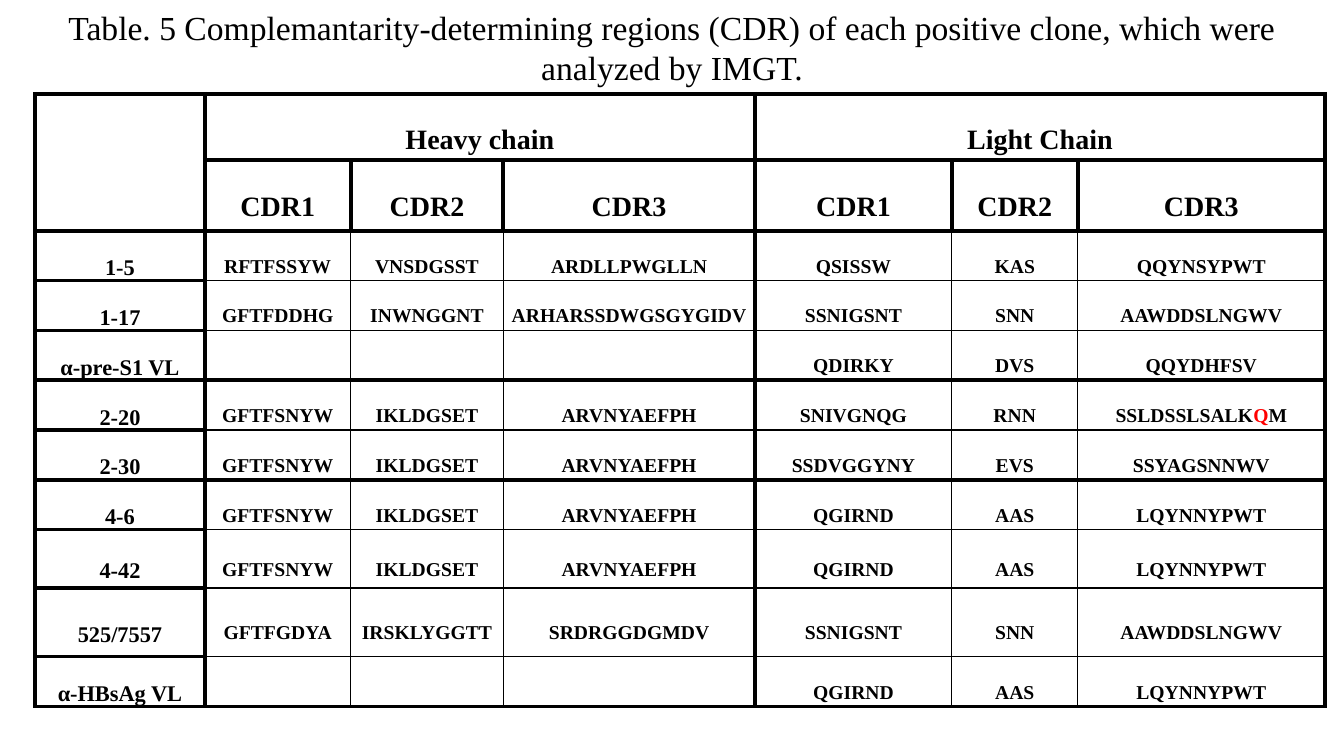
from lxml import etree
from pptx import Presentation
from pptx.dml.color import RGBColor
from pptx.enum.text import MSO_ANCHOR, MSO_AUTO_SIZE, PP_ALIGN
from pptx.oxml.ns import qn
from pptx.util import Inches, Pt

CENTER, MIDDLE, TOP = PP_ALIGN.CENTER, MSO_ANCHOR.MIDDLE, MSO_ANCHOR.TOP
FIT_SHAPE = MSO_AUTO_SIZE.SHAPE_TO_FIT_TEXT
FONT = "Times New Roman"
COLORS = {"ink": "000000", "paper": "FFFFFF", "marked": "FF0000"}

# Content
TITLE = ("Table. 5 Complemantarity-determining regions (CDR) of each positive "
         "clone, which were analyzed by IMGT.")
ROWS = [
    ["", "Heavy chain", "", "", "Light Chain", "", ""],
    ["", "CDR1", "CDR2", "CDR3", "CDR1", "CDR2", "CDR3"],
    ["1-5", "RFTFSSYW", "VNSDGSST", "ARDLLPWGLLN", "QSISSW", "KAS", "QQYNSYPWT"],
    ["1-17", "GFTFDDHG", "INWNGGNT", "ARHARSSDWGSGYGIDV", "SSNIGSNT", "SNN", "AAWDDSLNGWV"],
    ["α-pre-S1 VL", "", "", "", "QDIRKY", "DVS", "QQYDHFSV"],
    ["2-20", "GFTFSNYW", "IKLDGSET", "ARVNYAEFPH", "SNIVGNQG", "RNN", "SSLDSSLSALKQM"],
    ["2-30", "GFTFSNYW", "IKLDGSET", "ARVNYAEFPH", "SSDVGGYNY", "EVS", "SSYAGSNNWV"],
    ["4-6", "GFTFSNYW", "IKLDGSET", "ARVNYAEFPH", "QGIRND", "AAS", "LQYNNYPWT"],
    ["4-42", "GFTFSNYW", "IKLDGSET", "ARVNYAEFPH", "QGIRND", "AAS", "LQYNNYPWT"],
    ["525/7557", "GFTFGDYA", "IRSKLYGGTT", "SRDRGGDGMDV", "SSNIGSNT", "SNN", "AAWDDSLNGWV"],
    ["α-HBsAg VL", "", "", "", "QGIRND", "AAS", "LQYNNYPWT"],
]
MARKED = {(5, 6): ("SSLDSSLSALK", "Q", "M")}  # middle part is highlighted
COL_WIDTHS = [1.68, 1.45, 1.51, 2.5, 1.95, 1.25, 2.45]
ROW_HEIGHTS = [0.66, 0.7, 0.32, 0.44, 0.4, 0.26, 0.44, 0.44, 0.58, 0.68, 0.44]
MERGES = [((0, 0), (1, 0)), ((0, 1), (0, 3)), ((0, 4), (0, 6))]
HEADER_ROWS = 2
UNFILLED_ROWS = {0, 1, 5, 6}
GROUP_STARTS = {2, 5, 7, len(ROWS)}       # thick rule above these rows
CHAIN_STARTS = {1, 4, len(COL_WIDTHS)}    # thick rule left of these columns
THICK, THIN = 3, 1


def add_run(p, text, size, color="ink", bold=True):
    r = p.add_run()
    r.text = text
    r.font.name, r.font.size, r.font.bold = FONT, Pt(size), bold
    r.font.color.rgb = RGBColor.from_string(COLORS[color])


def set_borders(cell, row, col):
    heavy = row < HEADER_ROWS or col == 0
    edges = {"L": col in CHAIN_STARTS, "R": col + 1 in CHAIN_STARTS,
             "T": row in GROUP_STARTS, "B": row + 1 in GROUP_STARTS}
    tc_pr = cell._tc.get_or_add_tcPr()
    for side, is_edge in edges.items():
        width = THICK if heavy or is_edge else THIN
        ln = etree.SubElement(tc_pr, qn(f"a:ln{side}"), w=str(Pt(width)))
        fill = etree.SubElement(ln, qn("a:solidFill"))
        etree.SubElement(fill, qn("a:srgbClr"), val=COLORS["ink"])


def fill_cell(cell, row, col, text):
    set_borders(cell, row, col)
    if row in UNFILLED_ROWS:
        cell.fill.background()
    else:
        cell.fill.solid()
        cell.fill.fore_color.rgb = RGBColor.from_string(COLORS["paper"])
    if not text:
        return
    header = row < HEADER_ROWS
    cell.margin_left = cell.margin_right = Inches(0.07)
    cell.margin_top = cell.margin_bottom = 0
    cell.vertical_anchor = TOP if header else MIDDLE
    p = cell.text_frame.paragraphs[0]
    p.alignment, p.line_spacing = CENTER, 2.0
    size = 20 if header else 16 if col == 0 else 14
    for i, part in enumerate(MARKED.get((row, col), [text])):
        add_run(p, part, size, "marked" if i == 1 else "ink")


prs = Presentation()
prs.slide_width, prs.slide_height = Inches(13.33), Inches(7.5)
s = prs.slides.add_slide(prs.slide_layouts[6])

# CDR table
frame = s.shapes.add_table(len(ROWS), len(COL_WIDTHS), Inches(0.35), Inches(0.93),
                           Inches(sum(COL_WIDTHS)), Inches(sum(ROW_HEIGHTS)))
table = frame.table
table.first_row = table.horz_banding = False
for column, width in zip(table.columns, COL_WIDTHS):
    column.width = Inches(width)
for table_row, height in zip(table.rows, ROW_HEIGHTS):
    table_row.height = Inches(height)
for first, last in MERGES:
    table.cell(*first).merge(table.cell(*last))
for row, texts in enumerate(ROWS):
    for col, text in enumerate(texts):
        fill_cell(table.cell(row, col), row, col, text)

# Title
box = s.shapes.add_textbox(0, Inches(0.02), prs.slide_width, Inches(0.91))
tf = box.text_frame
tf.word_wrap, tf.auto_size = True, FIT_SHAPE
p = tf.paragraphs[0]
p.alignment = CENTER
add_run(p, TITLE, 24, bold=False)

prs.save("out.pptx")
